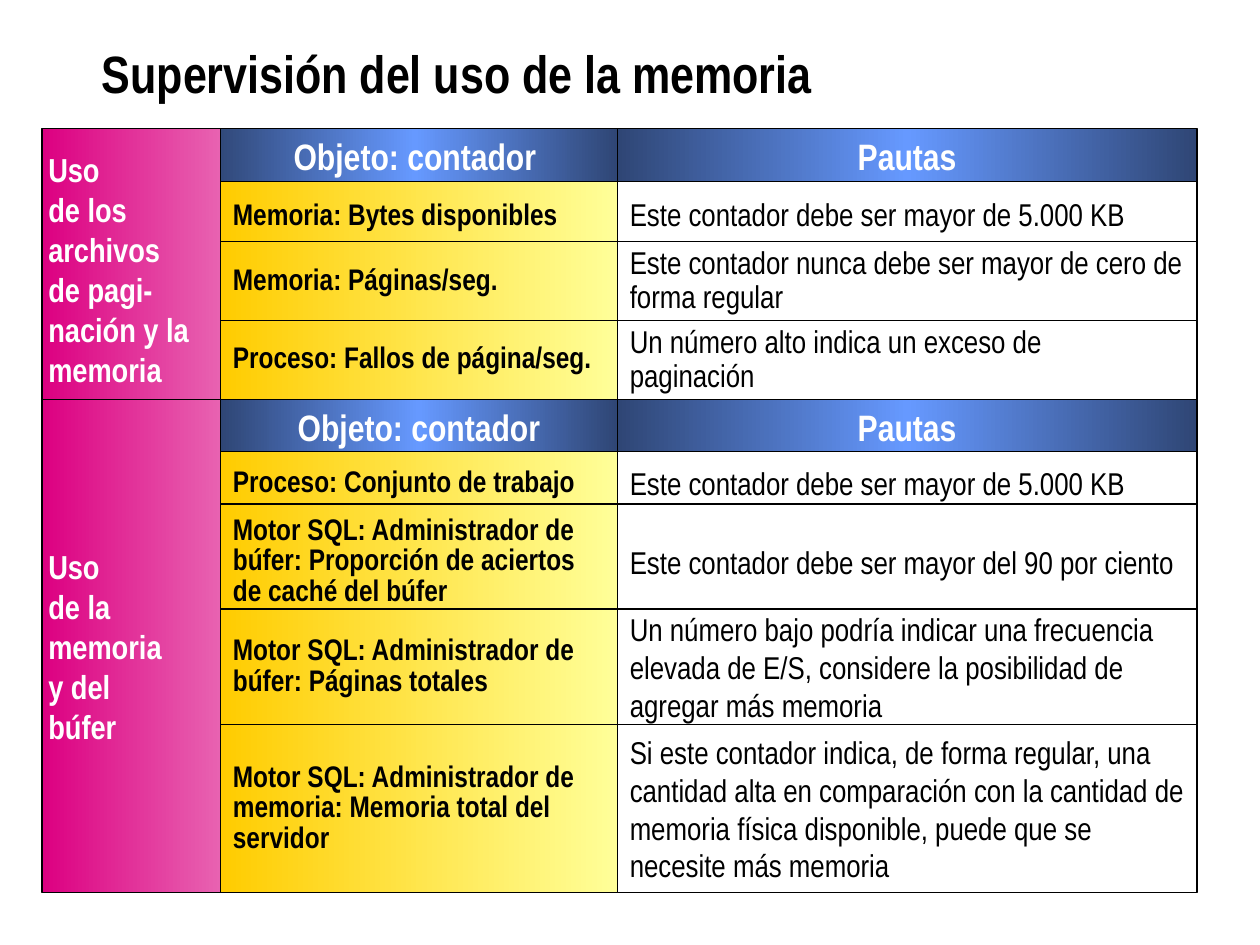
from dataclasses import dataclass

from lxml.etree import SubElement
from pptx import Presentation
from pptx.dml.color import RGBColor
from pptx.enum.shapes import MSO_SHAPE as Shape
from pptx.enum.text import MSO_ANCHOR as Anchor, MSO_AUTO_SIZE as AutoSize, PP_ALIGN as Align
from pptx.oxml.ns import qn
from pptx.util import Pt


@dataclass(frozen=True)
class Theme:
    font: str = "Arial Narrow"
    black: str = "000000"
    white: str = "FFFFFF"
    header_fill: tuple = ("2F4675", "6699FF", "2F4675")
    counter_fill: tuple = ("FFFF99", "FFCC00")
    topic_fill: tuple = ("E862B1", "DC0081")
    guideline_fill: tuple = ("FFFFFF",)
    title_size: int = 30
    header_size: int = 21
    topic_size: int = 19
    counter_size: int = 17
    guideline_size: int = 18
    border: float = 0.75


@dataclass(frozen=True)
class Section:
    topic: str
    top: float
    topic_height: float
    header_left: float
    guideline_spacing: float
    rows: tuple


THEME = Theme()
TOPIC_LEFT, COUNTER_LEFT, GUIDELINE_LEFT, TABLE_RIGHT = 24, 126, 352.8, 684
HEADER_HEIGHT = 31

SECTIONS = (
    Section(
        "Uso \vde los\varchivos\vde pagi-\nnación y la\vmemoria", 73.5, 160.5, 121.5, 0.9,
        (
            (103.7, 40.3, "Memoria: Bytes disponibles",
             "Este contador debe ser mayor de 5.000 KB"),
            (138, 45.2, "Memoria: Páginas/seg.",
             "Este contador nunca debe ser mayor de cero de forma regular"),
            (183, 45.2, "Proceso: Fallos de página/seg.",
             "Un número alto indica un exceso de\vpaginación"),
        ),
    ),
    Section(
        "Uso\vde la\vmemoria\vy del\vbúfer", 228.2, 282, COUNTER_LEFT, 1.0,
        (
            (258, 36, "Proceso: Conjunto de trabajo",
             "Este contador debe ser mayor de 5.000 KB"),
            (288, 66, "Motor SQL: Administrador de búfer: Proporción de aciertos "
             "de caché del búfer",
             "Este contador debe ser mayor del 90 por ciento"),
            (348, 66, "Motor SQL: Administrador de búfer: Páginas totales",
             "Un número bajo podría indicar una frecuencia elevada de E/S, "
             "considere la posibilidad de agregar más memoria"),
            (414, 96, "Motor SQL: Administrador de memoria: Memoria total del servidor",
             "Si este contador indica, de forma regular, una cantidad alta en "
             "comparación con la cantidad de memoria física disponible, puede "
             "que se necesite más memoria"),
        ),
    ),
)


def format_text(text_frame, text, size, color, bold, align=Align.LEFT, spacing=1.0):
    text_frame.text = text
    text_frame.word_wrap = True
    text_frame.auto_size = AutoSize.NONE
    text_frame.vertical_anchor = Anchor.MIDDLE
    for paragraph in text_frame.paragraphs:
        paragraph.alignment = align
        paragraph.line_spacing = spacing
        for run in paragraph.runs:
            run.font.name = THEME.font
            run.font.size = Pt(size)
            run.font.bold = bold
            run.font.color.rgb = RGBColor.from_string(color)


def fill_shape(shape, colors):
    if len(colors) == 1:
        shape.fill.solid()
        shape.fill.fore_color.rgb = RGBColor.from_string(colors[0])
        return
    shape.fill.gradient()
    shape.fill.gradient_angle = 180
    stops = next(shape._element.iter(qn("a:gsLst")))
    stops.clear()
    for index, color in enumerate(colors):
        position = 100000 * index // (len(colors) - 1)
        stop = SubElement(stops, qn("a:gs"), pos=str(position))
        SubElement(stop, qn("a:srgbClr"), val=color)


def add_cell(slide, left, right, top, height, colors, margin):
    shape = slide.shapes.add_shape(
        Shape.RECTANGLE, Pt(left), Pt(top), Pt(right - left), Pt(height))
    shape.shadow.inherit = False
    fill_shape(shape, colors)
    shape.line.color.rgb = RGBColor.from_string(THEME.black)
    shape.line.width = Pt(THEME.border)
    text_frame = shape.text_frame
    text_frame.margin_left = text_frame.margin_right = Pt(margin)
    text_frame.margin_top = text_frame.margin_bottom = Pt(3.6)
    return text_frame


def add_header(slide, left, right, top, text):
    text_frame = add_cell(slide, left, right, top, HEADER_HEIGHT, THEME.header_fill, 3.6)
    format_text(text_frame, text, THEME.header_size, THEME.white, True, Align.CENTER)


def add_row(slide, top, height, counter, guideline, guideline_spacing):
    counter_frame = add_cell(
        slide, COUNTER_LEFT, GUIDELINE_LEFT, top, height, THEME.counter_fill, 7.2)
    format_text(counter_frame, counter, THEME.counter_size, THEME.black, True, spacing=0.85)
    guideline_frame = add_cell(
        slide, GUIDELINE_LEFT, TABLE_RIGHT, top, height, THEME.guideline_fill, 7.2)
    format_text(guideline_frame, guideline, THEME.guideline_size, THEME.black, False,
                spacing=guideline_spacing)


def add_section(slide, section):
    add_header(slide, section.header_left, GUIDELINE_LEFT, section.top, "Objeto: contador")
    add_header(slide, GUIDELINE_LEFT, TABLE_RIGHT, section.top, "Pautas")
    for row in section.rows:
        add_row(slide, *row, section.guideline_spacing)
    topic_frame = add_cell(slide, TOPIC_LEFT, COUNTER_LEFT, section.top,
                           section.topic_height, THEME.topic_fill, 3.6)
    format_text(topic_frame, section.topic, THEME.topic_size, THEME.white, True)


def add_title(slide, text):
    title = slide.shapes.title
    title.left, title.top, title.width, title.height = Pt(51), Pt(12), Pt(645), Pt(66)
    format_text(title.text_frame, text, THEME.title_size, THEME.black, True, spacing=0.8)


def main():
    presentation = Presentation()
    presentation.slide_width, presentation.slide_height = Pt(720), Pt(540)
    slide = presentation.slides.add_slide(presentation.slide_layouts[5])
    add_title(slide, "Supervisión del uso de la memoria")
    for section in SECTIONS:
        add_section(slide, section)
    presentation.save("out.pptx")


if __name__ == "__main__":
    main()
